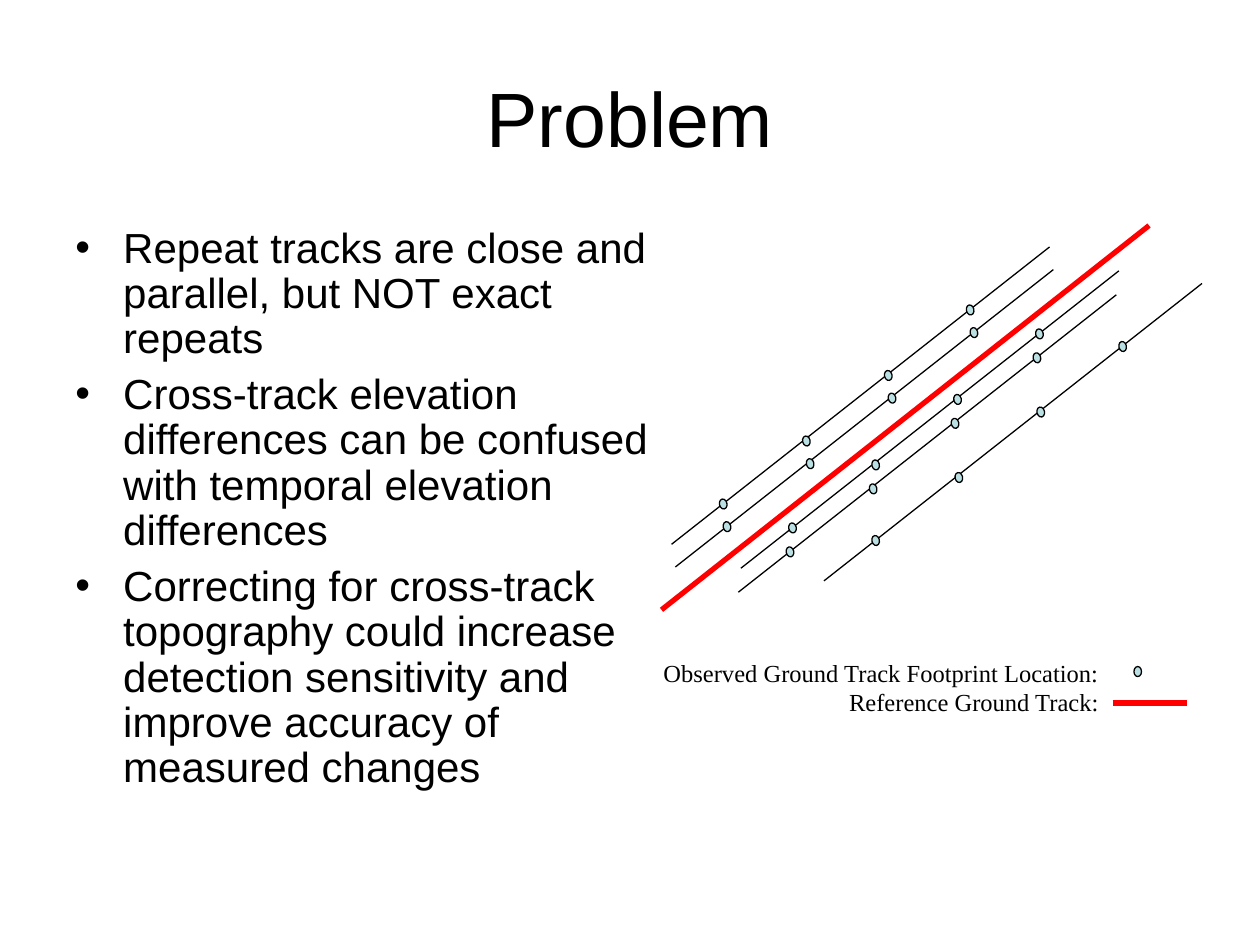
from dataclasses import dataclass
from lxml.etree import SubElement as Sub
from pptx import Presentation as Deck
from pptx.dml.color import RGBColor as Color
from pptx.enum.shapes import MSO_CONNECTOR as Link, MSO_SHAPE as Form
from pptx.enum.text import MSO_ANCHOR as Anchor, PP_ALIGN as Align
from pptx.oxml.ns import qn
from pptx.util import Inches, Pt


@dataclass(frozen=True)
class Theme:
    """Colours, fonts and type sizes of the slide."""
    ink: str = "000000"
    red: str = "FF0000"
    dot: str = "BBE0E3"
    sans: str = "Arial"
    serif: str = "Times New Roman"
    title: int = 44
    body: int = 24
    key: int = 14
    thin: float = 0.75
    thick: float = 3


THEME = Theme()
POINTS = (
    "Repeat tracks are close and parallel, but NOT exact repeats",
    "Cross-track elevation differences can be confused with temporal "
    "elevation differences",
    "Correcting for cross-track topography could increase detection "
    "sensitivity and improve accuracy of measured changes",
)
KEYS = ("Observed Ground Track Footprint Location:", "Reference Ground Track:")
TRACKS = ((5.36, 4.5), (5.88, 4.51), (5.86, 4.7), (5.33, 4.32), (6.54, 4.61))
STEPS = ((0.38, 0.36), (1.04, 0.86), (1.69, 1.38), (2.34, 1.9))
RUN, RISE = 3, 2.36


def add_text(slide, area, lines, font, size, align, wrap=True):
    """Add a text box with one paragraph per line and return its frame."""
    frame = slide.shapes.add_textbox(*map(Inches, area)).text_frame
    frame.word_wrap = wrap
    for i, line in enumerate(lines):
        para = frame.add_paragraph() if i else frame.paragraphs[0]
        para.alignment = align
        run = para.add_run()
        run.text = line
        run.font.name = font
        run.font.size = Pt(size)
        run.font.color.rgb = Color.from_string(THEME.ink)
    return frame


def add_bullets(frame):
    """Give each paragraph a hanging bullet and tight spacing."""
    for i, para in enumerate(frame.paragraphs):
        para.line_spacing = 0.9
        para.space_before = Pt(6 if i else 0)
        props = para._p.get_or_add_pPr()
        props.set("marL", str(Inches(0.38)))
        props.set("indent", str(-Inches(0.38)))
        Sub(props, qn("a:buFont"), typeface=THEME.sans)
        Sub(props, qn("a:buChar"), char="•")


def add_line(slide, start, end, color, width):
    """Draw a straight line without a shadow."""
    line = slide.shapes.add_connector(Link.STRAIGHT, *map(Inches, start + end))
    line.line.color.rgb = Color.from_string(color)
    line.line.width = Pt(width)
    Sub(line._element.spPr, qn("a:effectLst"))


def add_dot(slide, left, top, turn=0):
    """Draw one footprint dot."""
    area = map(Inches, (left, top, 0.06, 0.08))
    dot = slide.shapes.add_shape(Form.FLOWCHART_CONNECTOR, *area)
    dot.shadow.inherit = False
    dot.rotation = turn
    dot.fill.solid()
    dot.fill.fore_color.rgb = Color.from_string(THEME.dot)
    dot.line.color.rgb = Color.from_string(THEME.ink)
    dot.line.width = Pt(THEME.thin)


def add_track(slide, left, base):
    """Draw an observed track with its footprints."""
    end = (left + RUN, base - RISE)
    add_line(slide, (left, base), end, THEME.ink, THEME.thin)
    for across, up in STEPS:
        add_dot(slide, left + across, base - up, 347.2)


def main():
    """Build and save the slide."""
    deck = Deck()
    deck.slide_width, deck.slide_height = Inches(10), Inches(7.5)
    slide = deck.slides.add_slide(deck.slide_layouts[6])
    title = add_text(slide, (0.5, 0.3, 9, 1.25), ["Problem"],
                     THEME.sans, THEME.title, Align.CENTER)
    title.vertical_anchor = Anchor.MIDDLE
    body = add_text(slide, (0.5, 1.75, 4.83, 4.95), POINTS,
                    THEME.sans, THEME.body, Align.LEFT)
    add_bullets(body)
    for i, (left, base) in enumerate(TRACKS):
        add_track(slide, left, base)
        if i == 0:
            add_line(slide, (5.25, 4.84), (9.12, 1.79), THEME.red, THEME.thick)
    add_dot(slide, 9, 5.29)
    add_text(slide, (5.16, 5.17, 3.66, 0.57), KEYS,
             THEME.serif, THEME.key, Align.RIGHT, wrap=False)
    add_line(slide, (8.83, 5.58), (9.42, 5.58), THEME.red, THEME.thick)
    deck.save("out.pptx")


if __name__ == "__main__":
    main()
